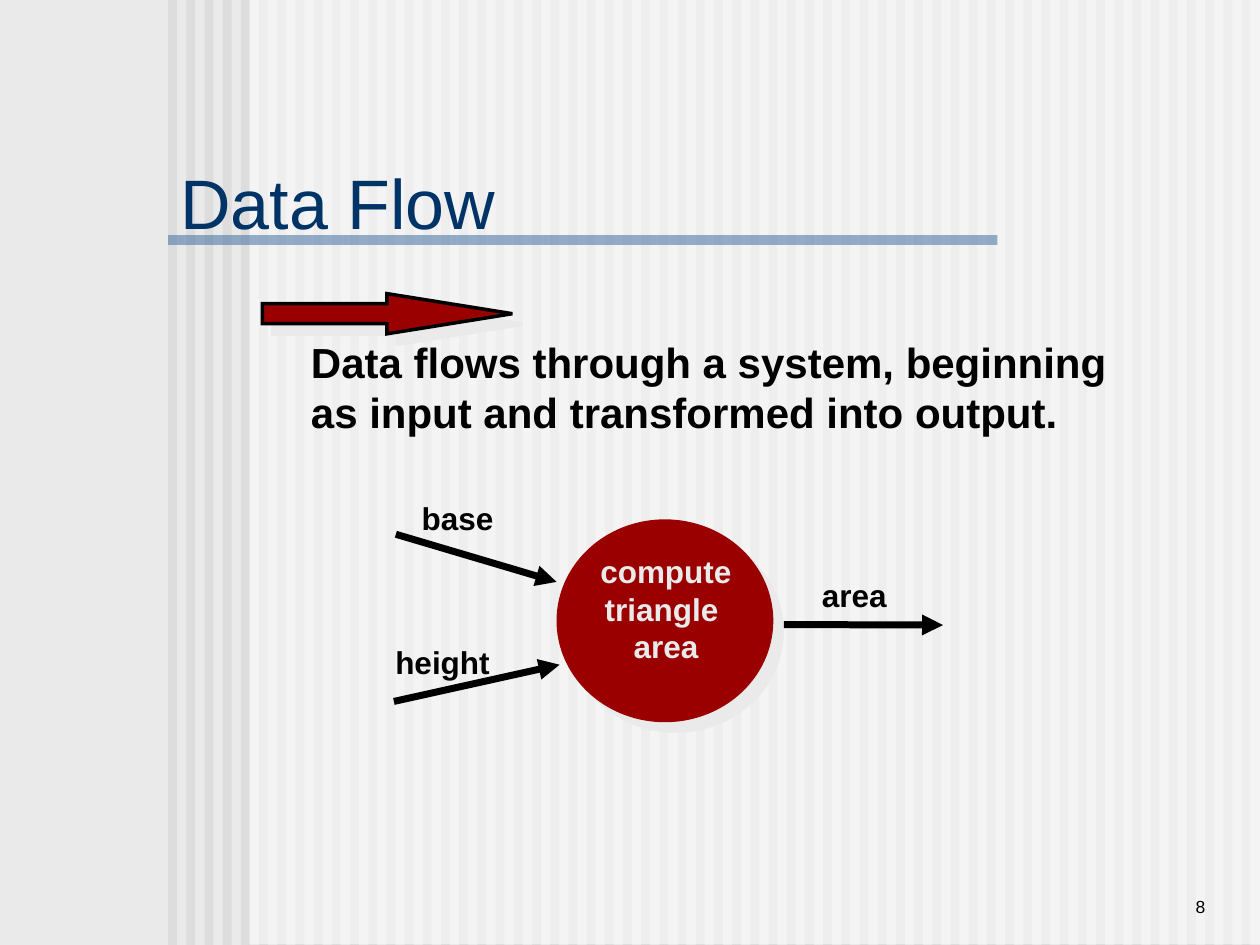
import dataclasses

import lxml.etree
import pptx
import pptx.dml.color
import pptx.enum.shapes
import pptx.enum.text
import pptx.oxml.ns
import pptx.util

Cm = pptx.util.Cm
Pt = pptx.util.Pt
Kind = pptx.enum.shapes.MSO_SHAPE
Align = pptx.enum.text.PP_ALIGN
Anchor = pptx.enum.text.MSO_ANCHOR
Fit = pptx.enum.text.MSO_AUTO_SIZE


@dataclasses.dataclass(frozen=True)
class Theme:
    font: str = "Arial"
    paper: str = "EAEAEA"
    stripe: str = "DDDDDD"
    veil: str = "FFFFFF"
    rule: str = "336699"
    title: str = "003366"
    ink: str = "000000"
    red: str = "9A0000"
    head: int = 40
    body: int = 24
    label: int = 18
    small: int = 10


theme = Theme()


def rgb(code):
    return pptx.dml.color.RGBColor.from_string(code)


def add_node(parent, tag, **attrs):
    node = lxml.etree.SubElement(parent, pptx.oxml.ns.qn(tag))
    for key, value in attrs.items():
        node.set(key, str(value))
    return node


def add_shape(slide, kind, box, fill, line=None, alpha=None, shade=False):
    """Draw a filled shape; alpha is opacity in percent, line a width in points."""
    shape = slide.shapes.add_shape(kind, *map(Cm, box))
    shape.fill.solid()
    shape.fill.fore_color.rgb = rgb(fill)
    if alpha is not None:
        color = shape.fill._xPr.find(".//" + pptx.oxml.ns.qn("a:srgbClr"))
        add_node(color, "a:alpha", val=alpha * 1000)
    if line:
        shape.line.color.rgb = rgb(theme.ink)
        shape.line.width = Pt(line)
        add_node(shape.line._get_or_add_ln(), "a:miter", lim=800000)
    else:
        shape.line.fill.background()
    shape.shadow.inherit = False
    if shade:
        add_shade(shape)
    return shape


def add_shade(shape):
    """Cast a hard shadow down and to the right."""
    effects = shape._element.spPr.find(pptx.oxml.ns.qn("a:effectLst"))
    cast = add_node(effects, "a:outerShdw", dist=Pt(8.5), dir=45 * 60000,
                    algn="ctr", rotWithShape=0)
    add_node(cast, "a:srgbClr", val=theme.paper)


def add_text(slide, text, box, size=theme.label, color=theme.ink, bold=True,
             align=Align.LEFT, anchor=Anchor.TOP, wrap=False):
    frame = slide.shapes.add_textbox(*map(Cm, box)).text_frame
    frame.word_wrap = wrap
    frame.auto_size = Fit.NONE if wrap else Fit.SHAPE_TO_FIT_TEXT
    frame.vertical_anchor = anchor
    frame.text = text
    for para in frame.paragraphs:
        para.alignment = align
        para.font.name = theme.font
        para.font.size = Pt(size)
        para.font.bold = bold
        para.font.color.rgb = rgb(color)


def add_arrow(slide, start, end):
    arrow = slide.shapes.add_connector(
        pptx.enum.shapes.MSO_CONNECTOR.STRAIGHT, *map(Cm, start + end))
    arrow.line.color.rgb = rgb(theme.ink)
    arrow.line.width = Pt(4)
    add_node(arrow.line._get_or_add_ln(), "a:tailEnd", type="triangle")
    add_node(arrow._element.spPr, "a:effectLst")


def add_back(slide):
    """Paint the striped ground, its pale veil and the rule below the title."""
    slide.background.fill.solid()
    slide.background.fill.fore_color.rgb = rgb(theme.paper)
    first, last, count = 3.39, 25.03, 60
    step = (last - first) / (count - 1)
    for i in range(count):
        add_shape(slide, Kind.RECTANGLE, (first + i * step, 0, 0.18, 19.05),
                  theme.stripe)
    add_shape(slide, Kind.RECTANGLE, (5.03, -0.02, 20.37, 19.05), theme.veil,
              alpha=50)
    add_shape(slide, Kind.RECTANGLE, (3.39, 4.74, 16.72, 0.2), theme.rule,
              alpha=50)


def add_flow(slide):
    """Draw the process with its two inputs and one output."""
    add_shape(slide, Kind.OVAL, (11.22, 10.47, 4.37, 4.09), theme.red, shade=True)
    add_text(slide, "compute\ntriangle \narea", (11.85, 11, 3.15, 3.3),
             color=theme.paper, align=Align.CENTER)
    flows = (
        ("base", (8.25, 9.93, 1.96, 1.02), (7.98, 10.77), (11.22, 11.73)),
        ("height", (7.72, 12.83, 2.41, 1.02), (7.94, 14.14), (11.28, 13.4)),
        ("area", (16.32, 11.48, 1.82, 1.02), (15.8, 12.59), (19.01, 12.6)),
    )
    for name, box, start, end in flows:
        add_arrow(slide, start, end)
        add_text(slide, name, box)


def main():
    deck = pptx.Presentation()
    deck.slide_width, deck.slide_height = Cm(25.4), Cm(19.05)
    slide = deck.slides.add_slide(deck.slide_layouts[6])
    add_back(slide)
    add_text(slide, "8", (20.95, 17.35, 3.6, 1.27), size=theme.small,
             bold=False, align=Align.RIGHT, anchor=Anchor.BOTTOM, wrap=True)
    add_text(slide, "Data Flow", (3.39, 3.61, 14.48, 0.91), size=theme.head,
             color=theme.title, bold=False, anchor=Anchor.MIDDLE, wrap=True)
    mark = add_shape(slide, Kind.RIGHT_ARROW, (5.29, 5.92, 5.04, 0.81),
                     theme.red, line=2, shade=True)
    mark.adjustments[1] = 3.12
    add_text(slide, "Data flows through a system, beginning\n"
             "as input and transformed into output.",
             (6.02, 6.65, 16.56, 2.29), size=theme.body)
    add_flow(slide)
    deck.save("out.pptx")


if __name__ == "__main__":
    main()
